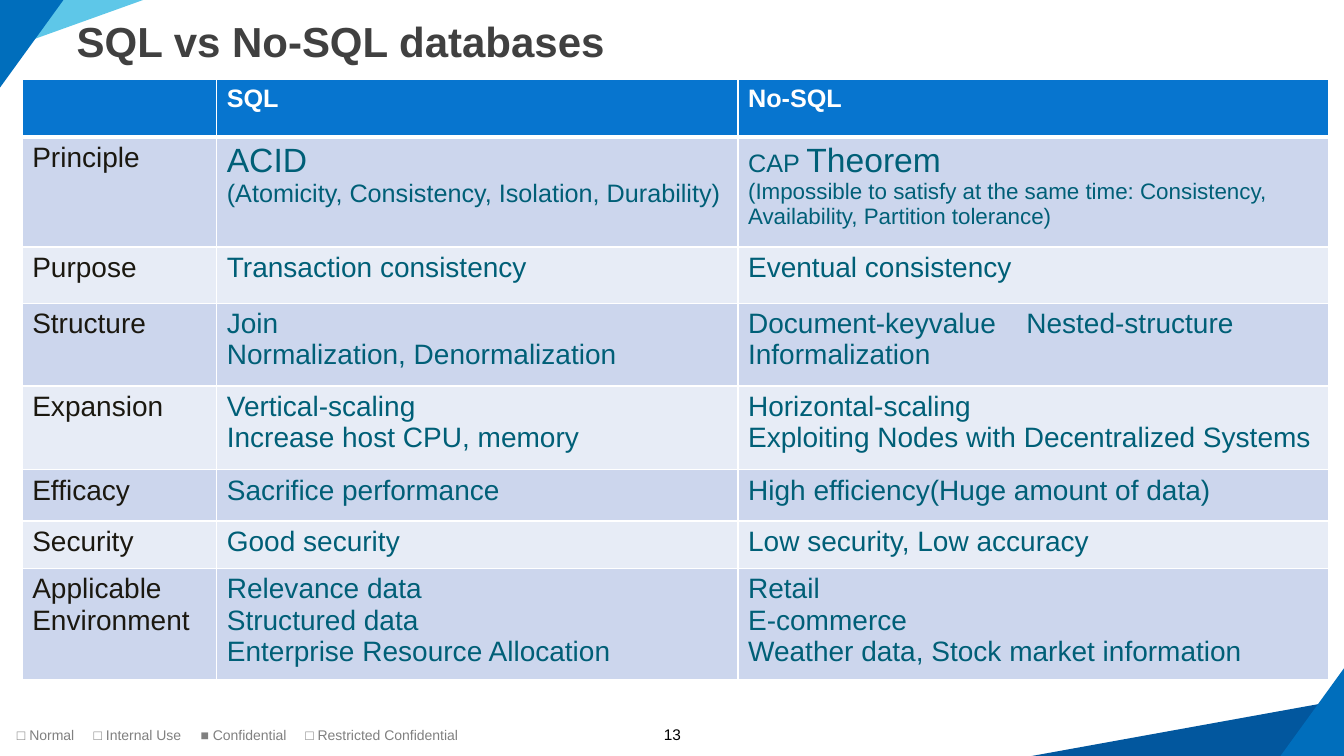
from dataclasses import dataclass

from lxml import etree
from pptx import Presentation
from pptx.dml.color import RGBColor
from pptx.enum.shapes import MSO_SHAPE
from pptx.enum.text import MSO_ANCHOR, MSO_AUTO_SIZE, PP_ALIGN
from pptx.oxml.ns import qn
from pptx.util import Inches, Pt

TITLE_ONLY = 5
RIGHT_TRIANGLE = MSO_SHAPE.RIGHT_TRIANGLE
LEFT, CENTER = PP_ALIGN.LEFT, PP_ALIGN.CENTER
MIDDLE, NO_FIT = MSO_ANCHOR.MIDDLE, MSO_AUTO_SIZE.NONE


@dataclass(frozen=True)
class Theme:
    font: str = "Arial"
    white: str = "FFFFFF"
    black: str = "000000"
    title: str = "404040"
    footer: str = "808080"
    header: str = "0775CF"
    bands: tuple = ("CCD6ED", "E7ECF6")
    label: str = "1B1810"
    body: str = "005F77"
    sky: str = "5EC7E8"
    blue: str = "006EBC"
    navy: str = "02579E"
    title_size: int = 30
    large_size: int = 24
    body_size: int = 20
    header_size: int = 18
    detail_size: int = 16
    number_size: int = 11
    footer_size: int = 10


THEME = Theme()

COLUMN_WIDTHS = (1.93, 5.17, 5.86)
HEADER_HEIGHT = 0.57
HEADINGS = ("", "SQL", "No-SQL")
ROWS = (
    (1.09, "Principle",
     [[("ACID", THEME.large_size)],
      [("(Atomicity, Consistency, Isolation, Durability)", THEME.header_size)]],
     [[("CAP ", THEME.header_size), ("Theorem", THEME.large_size)],
      [("(Impossible to satisfy at the same time: Consistency, "
        "Availability, Partition tolerance)", THEME.detail_size)]]),
    (0.56, "Purpose", ["Transaction consistency"], ["Eventual consistency"]),
    (0.82, "Structure",
     ["Join", "Normalization, Denormalization"],
     ["Document-keyvalue\tNested-structure", "Informalization"]),
    (0.83, "Expansion",
     ["Vertical-scaling", "Increase host CPU, memory"],
     ["Horizontal-scaling", "Exploiting Nodes with Decentralized Systems"]),
    (0.51, "Efficacy", ["Sacrifice performance"],
     ["High efficiency(Huge amount of data)"]),
    (0.47, "Security", ["Good security"], ["Low security, Low accuracy"]),
    (0.95, "Applicable Environment",
     ["Relevance data", "Structured data", "Enterprise Resource Allocation"],
     ["Retail", "E-commerce", "Weather data, Stock market information"]),
)
STRUCTURE_TAB = 2.76
FOOTER_TABS = (0.76, 1.82, 2.86)
FOOTER = "□ Normal\t□ Internal Use\t■ Confidential\t□ Restricted Confidential"


def rgb(color):
    return RGBColor.from_string(color)


def style_font(font, size, color, bold=False):
    font.name = THEME.font
    font.size = Pt(size)
    font.bold = bold
    font.color.rgb = rgb(color)


def set_tabs(para, stops):
    tabs = etree.Element(qn("a:tabLst"))
    for stop in stops:
        etree.SubElement(tabs, qn("a:tab"), pos=str(Inches(stop)), algn="l")
    properties = para._p.get_or_add_pPr()
    properties.insert_element_before(tabs, "a:defRPr", "a:extLst")


def add_triangle(page, left, top, width, height, color, rotation=0):
    triangle = page.shapes.add_shape(
        RIGHT_TRIANGLE, Inches(left), Inches(top), Inches(width), Inches(height))
    triangle.shadow.inherit = False
    triangle.fill.solid()
    triangle.fill.fore_color.rgb = rgb(color)
    triangle.line.fill.background()
    triangle.rotation = rotation
    triangle.element.spPr.xfrm.set("flipV", "1")


def add_text(page, left, top, width, height, text, size, color,
             align=LEFT, inset=0.05, tabs=()):
    box = page.shapes.add_textbox(
        Inches(left), Inches(top), Inches(width), Inches(height))
    frame = box.text_frame
    frame.word_wrap = True
    frame.margin_top = frame.margin_bottom = Inches(inset)
    para = frame.paragraphs[0]
    para.alignment = align
    para.add_run().text = text
    style_font(para.font, size, color)
    if tabs:
        set_tabs(para, tabs)


def set_title(page, text):
    title = page.shapes.title
    title.left, title.top = Inches(0.66), Inches(0.2)
    title.width, title.height = Inches(12.01), Inches(0.47)
    frame = title.text_frame
    frame.text = text
    frame.auto_size = NO_FIT
    frame.vertical_anchor = MIDDLE
    para = frame.paragraphs[0]
    para.alignment = LEFT
    para.line_spacing = 0.9
    style_font(para.font, THEME.title_size, THEME.title, bold=True)


def set_borders(cell, top, bottom):
    properties = cell._tc.get_or_add_tcPr()
    sides = (("L", 1), ("R", 1), ("T", top), ("B", bottom))
    for position, (side, width) in enumerate(sides):
        line = etree.Element(qn(f"a:ln{side}"), w=str(Pt(width)))
        fill = etree.SubElement(line, qn("a:solidFill"))
        etree.SubElement(fill, qn("a:srgbClr"), val=THEME.white)
        properties.insert(position, line)


def fill_cell(cell, paragraphs, fill, color, size, bold=False, top=1, bottom=1):
    cell.fill.solid()
    cell.fill.fore_color.rgb = rgb(fill)
    set_borders(cell, top, bottom)
    frame = cell.text_frame
    for index, content in enumerate(paragraphs):
        para = frame.add_paragraph() if index else frame.paragraphs[0]
        spans = [(content, size)] if isinstance(content, str) else content
        style_font(para.font, spans[0][1], color, bold)
        for text, span_size in spans:
            span = para.add_run()
            span.text = text
            if len(spans) > 1:
                style_font(span.font, span_size, color, bold)
            if "\t" in text:
                set_tabs(para, [STRUCTURE_TAB])


def add_comparison(page):
    heights = [HEADER_HEIGHT] + [row[0] for row in ROWS]
    table = page.shapes.add_table(
        len(heights), len(COLUMN_WIDTHS), Inches(0.22), Inches(0.79),
        Inches(sum(COLUMN_WIDTHS)), Inches(sum(heights))).table
    for column, width in zip(table.columns, COLUMN_WIDTHS):
        column.width = Inches(width)
    for row, height in zip(table.rows, heights):
        row.height = Inches(height)
    for column, heading in enumerate(HEADINGS):
        fill_cell(table.cell(0, column), [heading] if heading else [],
                  THEME.header, THEME.white, THEME.header_size,
                  bold=True, bottom=3)
    for number, (_, label, sql, no_sql) in enumerate(ROWS, start=1):
        band = THEME.bands[(number - 1) % 2]
        for column, paragraphs in enumerate(([label], sql, no_sql)):
            color = THEME.body if column else THEME.label
            fill_cell(table.cell(number, column), paragraphs, band, color,
                      THEME.body_size, top=3 if number == 1 else 1)


def main():
    deck = Presentation()
    deck.slide_width, deck.slide_height = Inches(13.33), Inches(7.5)
    page = deck.slides.add_slide(deck.slide_layouts[TITLE_ONLY])
    add_text(page, 6.08, 7.19, 1.18, 0.24, "13", THEME.number_size,
             THEME.black, align=CENTER, inset=0)
    add_text(page, 0.07, 7.16, 5.29, 0.27, FOOTER, THEME.footer_size,
             THEME.footer, tabs=FOOTER_TABS)
    add_triangle(page, 0, 0, 1.42, 0.51, THEME.sky)
    add_triangle(page, 0, 0, 0.63, 0.87, THEME.blue)
    add_triangle(page, 10.18, 6.94, 3.15, 0.57, THEME.navy, rotation=180)
    add_triangle(page, 12.7, 6.63, 0.63, 0.87, THEME.blue, rotation=180)
    set_title(page, "SQL vs No-SQL databases")
    add_comparison(page)
    deck.save("out.pptx")


if __name__ == "__main__":
    main()
